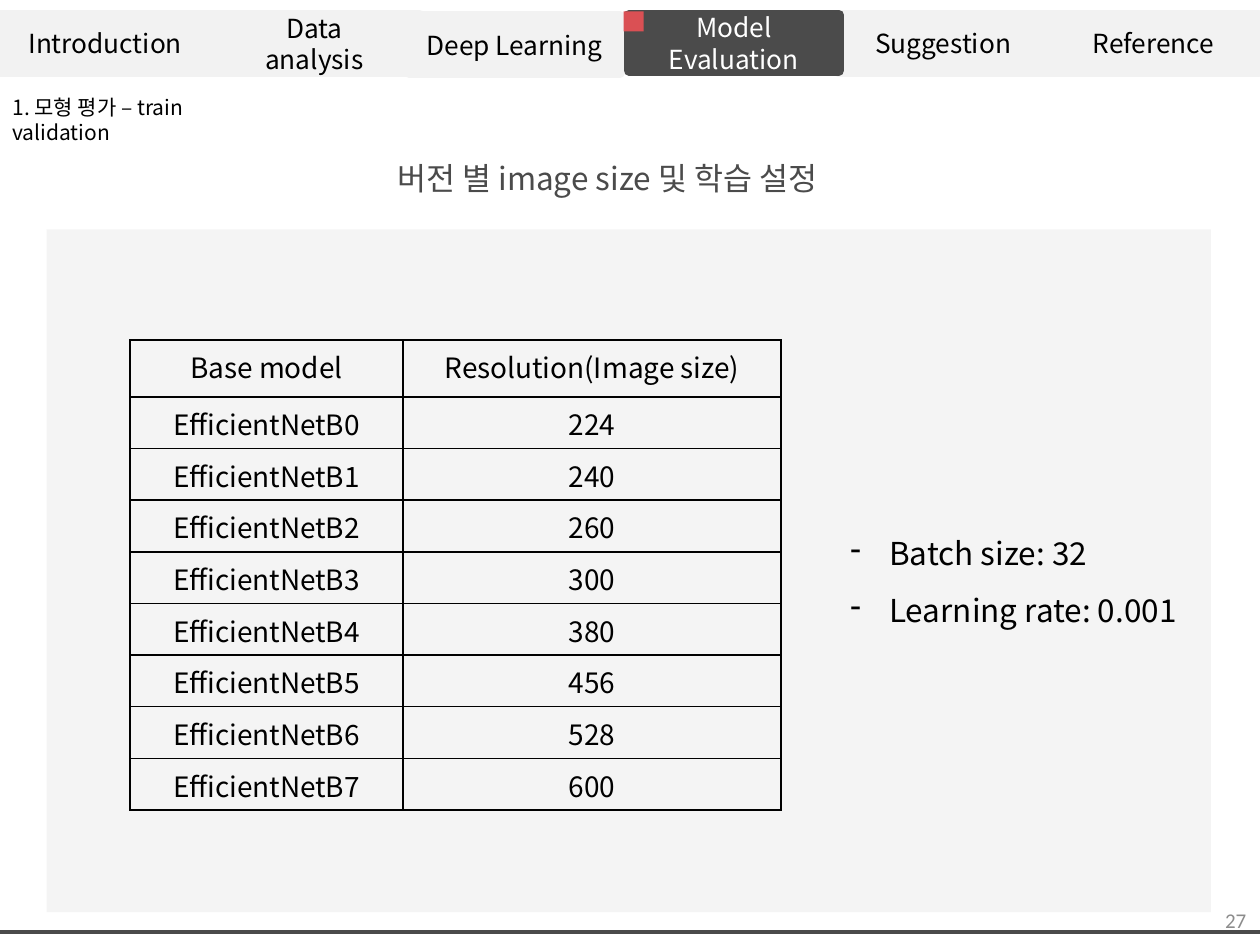
from lxml import etree
from pptx import Presentation
from pptx.dml.color import RGBColor
from pptx.enum.shapes import MSO_CONNECTOR, MSO_SHAPE
from pptx.enum.text import MSO_ANCHOR, PP_ALIGN
from pptx.oxml.ns import qn
from pptx.util import Inches, Pt

RECTANGLE = MSO_SHAPE.RECTANGLE
STRAIGHT = MSO_CONNECTOR.STRAIGHT
TOP, MIDDLE = MSO_ANCHOR.TOP, MSO_ANCHOR.MIDDLE
LEFT, CENTER, RIGHT = PP_ALIGN.LEFT, PP_ALIGN.CENTER, PP_ALIGN.RIGHT

COLORS = {
    "black": "000000",
    "white": "FFFFFF",
    "light": "F2F2F2",
    "dark": "4B4B4B",
    "accent": "DA5054",
    "muted": "8C8C8C",
}
BODY_FONT = "Noto Sans CJK KR"
NUMBER_FONT = "Calibri"

TABS = [
    ("Introduction", 0, 0.12),
    ("Data\nanalysis", 1.66, 0.12),
    ("Deep Learning", 3.25, 0.13),
    ("Suggestion", 6.65, 0.12),
    ("Reference", 8.32, 0.12),
]
RESOLUTIONS = [224, 240, 260, 300, 380, 456, 528, 600]


def color(name):
    return RGBColor.from_string(COLORS[name])


class SlideBuilder:
    def __init__(self, slide):
        self.slide = slide

    def set_text(self, text_frame, text, size, ink, align=LEFT, font=BODY_FONT):
        text_frame.text = text
        for paragraph in text_frame.paragraphs:
            paragraph.alignment = align
            for run in paragraph.runs:
                run.font.size = Pt(size)
                run.font.name = font
                run.font.color.rgb = color(ink)
                latin = run.font._element.find(qn("a:latin"))
                east_asian = etree.Element(qn("a:ea"), typeface=font)
                latin.addnext(east_asian)

    def box(self, left, top, width, height, fill, line_width=0, alpha=None):
        shape = self.slide.shapes.add_shape(
            RECTANGLE, Inches(left), Inches(top), Inches(width), Inches(height)
        )
        shape.shadow.inherit = False
        shape.fill.solid()
        shape.fill.fore_color.rgb = color(fill)
        if alpha:
            fill_color = shape._element.spPr.find(qn("a:solidFill"))[0]
            etree.SubElement(fill_color, qn("a:alpha"), val=str(alpha * 1000))
        if line_width:
            shape.line.color.rgb = color(fill)
            shape.line.width = Pt(line_width)
        else:
            shape.line.fill.background()
        return shape

    def tab(self, label, left, top, height=0.45, fill="light", ink="black"):
        shape = self.box(left, top, 1.67, height, fill, line_width=5.75)
        shape.text_frame.vertical_anchor = MIDDLE
        self.set_text(shape.text_frame, label, 15, ink, CENTER)

    def text(self, text, left, top, width, height, size, ink="black",
             align=LEFT, anchor=TOP, font=BODY_FONT):
        shape = self.slide.shapes.add_textbox(
            Inches(left), Inches(top), Inches(width), Inches(height)
        )
        shape.text_frame.word_wrap = True
        shape.text_frame.vertical_anchor = anchor
        self.set_text(shape.text_frame, text, size, ink, align, font)
        return shape

    def bullets(self, items, left, top, width, height, size):
        shape = self.text("\n".join(items), left, top, width, height, size)
        for paragraph in shape.text_frame.paragraphs:
            paragraph.line_spacing = 1.5
            properties = paragraph._p.get_or_add_pPr()
            properties.set("marL", str(Inches(0.31)))
            properties.set("indent", str(-Inches(0.31)))
            etree.SubElement(properties, qn("a:buChar"), char="-")

    def line(self, start, end, ink, width):
        points = [Inches(value) for value in (*start, *end)]
        connector = self.slide.shapes.add_connector(STRAIGHT, *points)
        connector.line.color.rgb = color(ink)
        connector.line.width = Pt(width)
        etree.SubElement(connector._element.spPr, qn("a:effectLst"))

    def borders(self, cell, ink, width):
        properties = cell._tc.get_or_add_tcPr()
        for index, side in enumerate(("lnL", "lnR", "lnT", "lnB")):
            border = etree.Element(qn(f"a:{side}"), w=str(Pt(width)))
            fill = etree.SubElement(border, qn("a:solidFill"))
            etree.SubElement(fill, qn("a:srgbClr"), val=COLORS[ink])
            properties.insert(index, border)

    def table(self, rows, left, top, widths, heights, size):
        table = self.slide.shapes.add_table(
            len(rows), len(widths), Inches(left), Inches(top),
            Inches(sum(widths)), Inches(sum(heights))
        ).table
        table.first_row = False
        table.horz_banding = False
        for column, width in zip(table.columns, widths):
            column.width = Inches(width)
        for row, height, values in zip(table.rows, heights, rows):
            row.height = Inches(height)
            for cell, value in zip(row.cells, values):
                cell.fill.background()
                self.set_text(cell.text_frame, value, size, "black", CENTER)
                self.borders(cell, "black", 1)


def main():
    presentation = Presentation()
    presentation.slide_width = Inches(10)
    presentation.slide_height = Inches(7.5)
    builder = SlideBuilder(
        presentation.slides.add_slide(presentation.slide_layouts[6])
    )

    builder.box(0.37, 1.82, 9.24, 5.42, "light", alpha=80)
    builder.text("1. 모형 평가 – train validation", 0, 0.7, 2.32, 0.3, 12)
    builder.text("버전 별 image size 및 학습 설정", 0.2, 0.97, 9.24, 0.88, 18,
                 "dark", CENTER, MIDDLE)
    builder.line((0, 7.4), (10, 7.4), "dark", 2.25)
    builder.text("27", 7.74, 7.1, 2.25, 0.4, 12, "muted", RIGHT, MIDDLE,
                 NUMBER_FONT)

    for label, left, top in TABS:
        builder.tab(label, left, top)
    builder.tab("Model Evaluation", 4.99, 0.12, 0.44, "dark", "white")
    builder.box(4.95, 0.09, 0.16, 0.16, "accent")

    rows = [("Base model", "Resolution(Image size)")]
    rows += [(f"EfficientNetB{version}", str(resolution))
             for version, resolution in enumerate(RESOLUTIONS)]
    heights = [0.45] + [0.41] * len(RESOLUTIONS)
    builder.table(rows, 1.03, 2.7, [2.17, 3], heights, 16)
    builder.bullets(["Batch size: 32", "Learning rate: 0.001"],
                    6.65, 4.04, 3.04, 1.01, 18)

    presentation.save("out.pptx")


if __name__ == "__main__":
    main()
